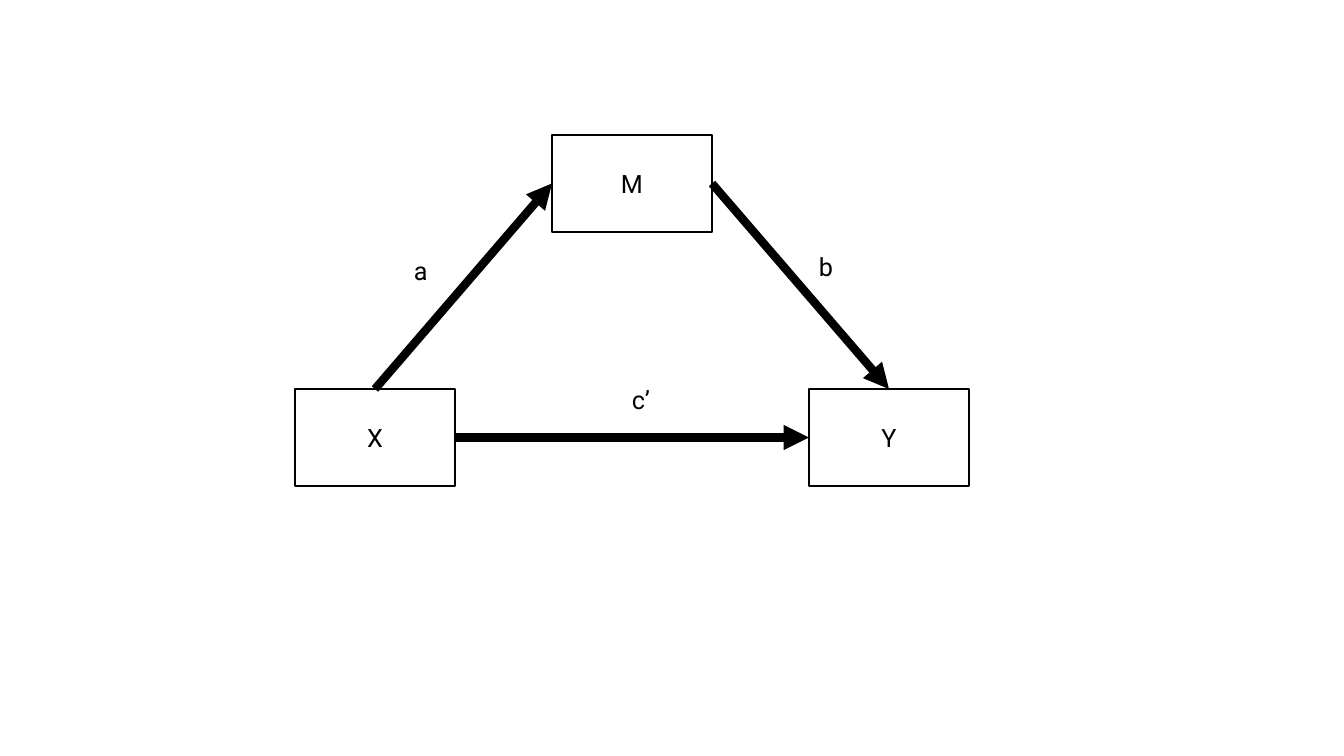
from lxml import etree
from pptx import Presentation
from pptx.dml.color import RGBColor
from pptx.enum.shapes import MSO_CONNECTOR as LINK, MSO_SHAPE as SHAPE
from pptx.enum.text import MSO_ANCHOR as ANCHOR, MSO_AUTO_SIZE as FIT, PP_ALIGN as ALIGN
from pptx.oxml.ns import qn
from pptx.util import Pt

PX = 914400 / 100.8
BLACK, WHITE = "000000", "FFFFFF"
TOP, LEFT, RIGHT = 0, 1, 3  # connection sites of a rectangle


def emu(*sizes):
    return [round(size * PX) for size in sizes]


def paint(fill, color):
    """Make a fill, of a shape, line or font, solid in a hex color."""
    fill.solid()
    fill.fore_color.rgb = RGBColor.from_string(color)


deck = Presentation()
deck.slide_width, deck.slide_height = emu(1344, 756)
shapes = deck.slides.add_slide(deck.slide_layouts[6]).shapes

# Variables
boxes = {}
for name, x, y in [("X", 295, 389), ("Y", 809, 389), ("M", 552, 135)]:
    box = shapes.add_shape(SHAPE.RECTANGLE, *emu(x, y, 160, 97))
    box.shadow.inherit = False
    paint(box.fill, WHITE)
    paint(box.line.fill, BLACK)
    box.line.width = Pt(1.5)
    box.text_frame.text = name
    box.text_frame.vertical_anchor = ANCHOR.MIDDLE
    box.text_frame.paragraphs[0].alignment = ALIGN.CENTER
    boxes[name] = box

# Paths between the variables
paths = [("X", RIGHT, "Y", LEFT), ("X", TOP, "M", LEFT), ("M", RIGHT, "Y", TOP)]
for start, exit, end, entry in paths:
    arrow = shapes.add_connector(LINK.STRAIGHT, 0, 0, 0, 0)
    arrow.begin_connect(boxes[start], exit)
    arrow.end_connect(boxes[end], entry)
    paint(arrow.line.fill, BLACK)
    arrow.line.width = Pt(6)
    etree.SubElement(arrow.line._get_or_add_ln(), qn("a:tailEnd"), type="triangle")
    etree.SubElement(arrow._element.spPr, qn("a:effectLst"))

# Path labels
labels = []
for name, x, y in [("c’", 622, 379), ("a", 404, 250), ("b", 809, 246)]:
    label = shapes.add_textbox(*emu(x, y, 101, 40))
    label.text_frame.text = name
    label.text_frame.word_wrap = True
    label.text_frame.auto_size = FIT.SHAPE_TO_FIT_TEXT
    labels.append(label)

style = {"name": "Roboto", "size": Pt(18)}
for shape in [*boxes.values(), *labels]:
    font = shape.text_frame.paragraphs[0].runs[0].font
    paint(font.fill, BLACK)
    for key, value in style.items():
        setattr(font, key, value)

deck.save("out.pptx")
